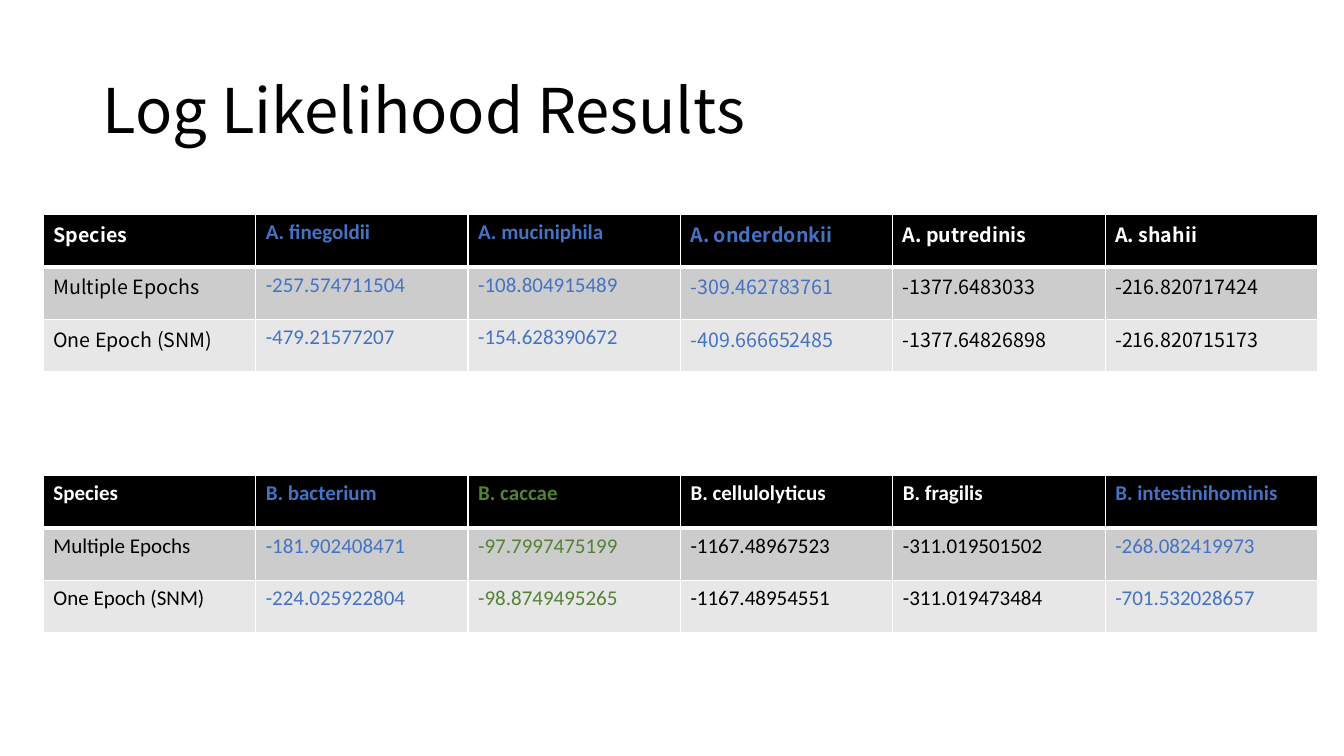
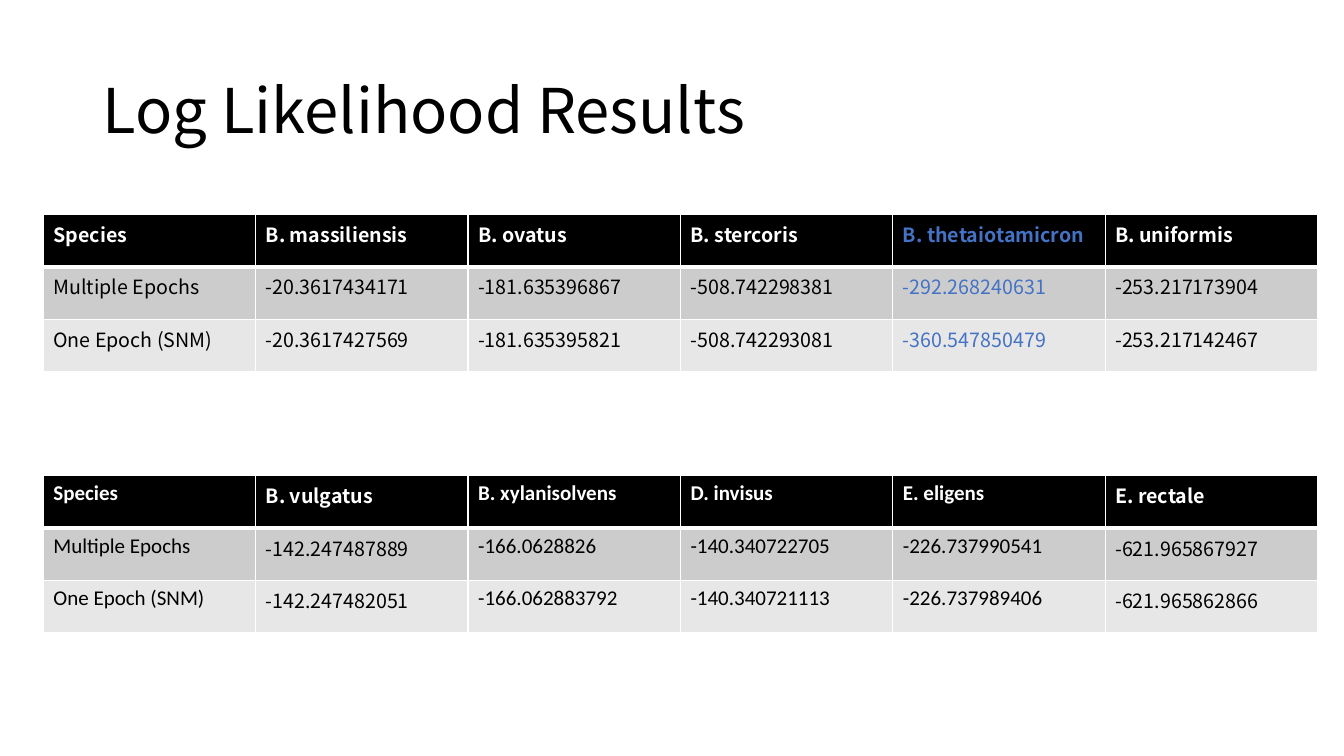
from dataclasses import dataclass

from lxml import etree
from pptx import Presentation
from pptx.dml.color import RGBColor
from pptx.enum import text
from pptx.oxml.ns import qn
from pptx.util import Pt

TITLE = "Log Likelihood Results"
ROW_LABELS = ("Species", "Multiple Epochs", "One Epoch (SNM)")

SLIDES = [
    [
        [
            (ROW_LABELS, "noto", None),
            (("A. finegoldii", "-257.574711504", "-479.21577207"), "calibri", "blue"),
            (("A. muciniphila", "-108.804915489", "-154.628390672"), "calibri", "blue"),
            (("A. onderdonkii", "-309.462783761", "-409.666652485"), "noto", "blue"),
            (("A. putredinis", "-1377.6483033", "-1377.64826898"), "noto", None),
            (("A. shahii", "-216.820717424", "-216.820715173"), "noto", None),
        ],
        [
            (ROW_LABELS, "calibri", None),
            (("B. bacterium", "-181.902408471", "-224.025922804"), "calibri", "blue"),
            (("B. caccae", "-97.7997475199", "-98.8749495265"), "calibri", "green"),
            (("B. cellulolyticus", "-1167.48967523", "-1167.48954551"), "calibri", None),
            (("B. fragilis", "-311.019501502", "-311.019473484"), "calibri", None),
            (("B. intestinihominis", "-268.082419973", "-701.532028657"), "calibri", "blue"),
        ],
    ],
    [
        [
            (ROW_LABELS, "noto", None),
            (("B. massiliensis", "-20.3617434171", "-20.3617427569"), "noto", None),
            (("B. ovatus", "-181.635396867", "-181.635395821"), "noto", None),
            (("B. stercoris", "-508.742298381", "-508.742293081"), "noto", None),
            (("B. thetaiotamicron", "-292.268240631", "-360.547850479"), "noto", "blue"),
            (("B. uniformis", "-253.217173904", "-253.217142467"), "noto", None),
        ],
        [
            (ROW_LABELS, "calibri", None),
            (("B. vulgatus", "-142.247487889", "-142.247482051"), "noto", None),
            (("B. xylanisolvens", "-166.0628826", "-166.062883792"), "calibri", None),
            (("D. invisus", "-140.340722705", "-140.340721113"), "calibri", None),
            (("E. eligens", "-226.737990541", "-226.737989406"), "calibri", None),
            (("E. rectale", "-621.965867927", "-621.965862866"), "noto", None),
        ],
    ],
]


@dataclass(frozen=True)
class Theme:
    black: str = "000000"
    white: str = "FFFFFF"
    blue: str = "4472C4"
    green: str = "548235"
    row_fills: tuple = ("000000", "CCCCCC", "E7E7E7")
    title_face: tuple = ("Noto Sans CJK JP", 44)
    noto: tuple = ("Noto Sans CJK JP", 14)
    calibri: tuple = ("Calibri", 15)
    thin: int = 1
    thick: int = 3


THEME = Theme()
EMU_PER_PX = 9144
SLIDE_SIZE = (1333, 750)
TITLE_BOX = (92, 40, 1150, 145)
TABLE_LEFT, TABLE_WIDTH, ROW_HEIGHT = 43, 1264, 52
TABLE_TOPS = (213, 472)


def px(length):
    return length * EMU_PER_PX


def style_font(paragraph, face, color, bold=False):
    font = paragraph.font
    font.name, size = face
    font.size = Pt(size)
    font.bold = bold
    font.color.rgb = RGBColor.from_string(color)


def add_borders(cell, row):
    top = THEME.thick if row == 1 else THEME.thin
    bottom = THEME.thick if row == 0 else THEME.thin
    widths = {"a:lnL": THEME.thin, "a:lnR": THEME.thin, "a:lnT": top, "a:lnB": bottom}
    properties = cell._tc.get_or_add_tcPr()
    for position, (side, width) in enumerate(widths.items()):
        border = etree.Element(qn(side), w=str(Pt(width)))
        fill = etree.SubElement(border, qn("a:solidFill"))
        etree.SubElement(fill, qn("a:srgbClr"), val=THEME.white)
        properties.insert(position, border)


def add_title(slide):
    title = slide.shapes.title
    title.left, title.top, title.width, title.height = map(px, TITLE_BOX)
    frame = title.text_frame
    frame.text = TITLE
    frame.auto_size = text.MSO_AUTO_SIZE.NONE
    frame.vertical_anchor = text.MSO_ANCHOR.MIDDLE
    heading = frame.paragraphs[0]
    heading.alignment = text.PP_ALIGN.LEFT
    heading.line_spacing = 0.9
    style_font(heading, THEME.title_face, THEME.black)


def add_results(slide, top, species_columns):
    row_count = len(ROW_LABELS)
    results = slide.shapes.add_table(
        row_count, len(species_columns), px(TABLE_LEFT), px(top),
        px(TABLE_WIDTH), px(ROW_HEIGHT * row_count),
    ).table
    for column, (entries, face, accent) in enumerate(species_columns):
        for row, entry in enumerate(entries):
            cell = results.cell(row, column)
            cell.text = entry
            cell.fill.solid()
            cell.fill.fore_color.rgb = RGBColor.from_string(THEME.row_fills[row])
            add_borders(cell, row)
            is_header = row == 0
            color = accent or ("white" if is_header else "black")
            style_font(cell.text_frame.paragraphs[0], getattr(THEME, face),
                       getattr(THEME, color), is_header)


def main():
    deck = Presentation()
    deck.slide_width, deck.slide_height = map(px, SLIDE_SIZE)
    title_only = deck.slide_layouts[5]
    for tables in SLIDES:
        slide = deck.slides.add_slide(title_only)
        add_title(slide)
        for top, species_columns in zip(TABLE_TOPS, tables):
            add_results(slide, top, species_columns)
    deck.save("out.pptx")


if __name__ == "__main__":
    main()
